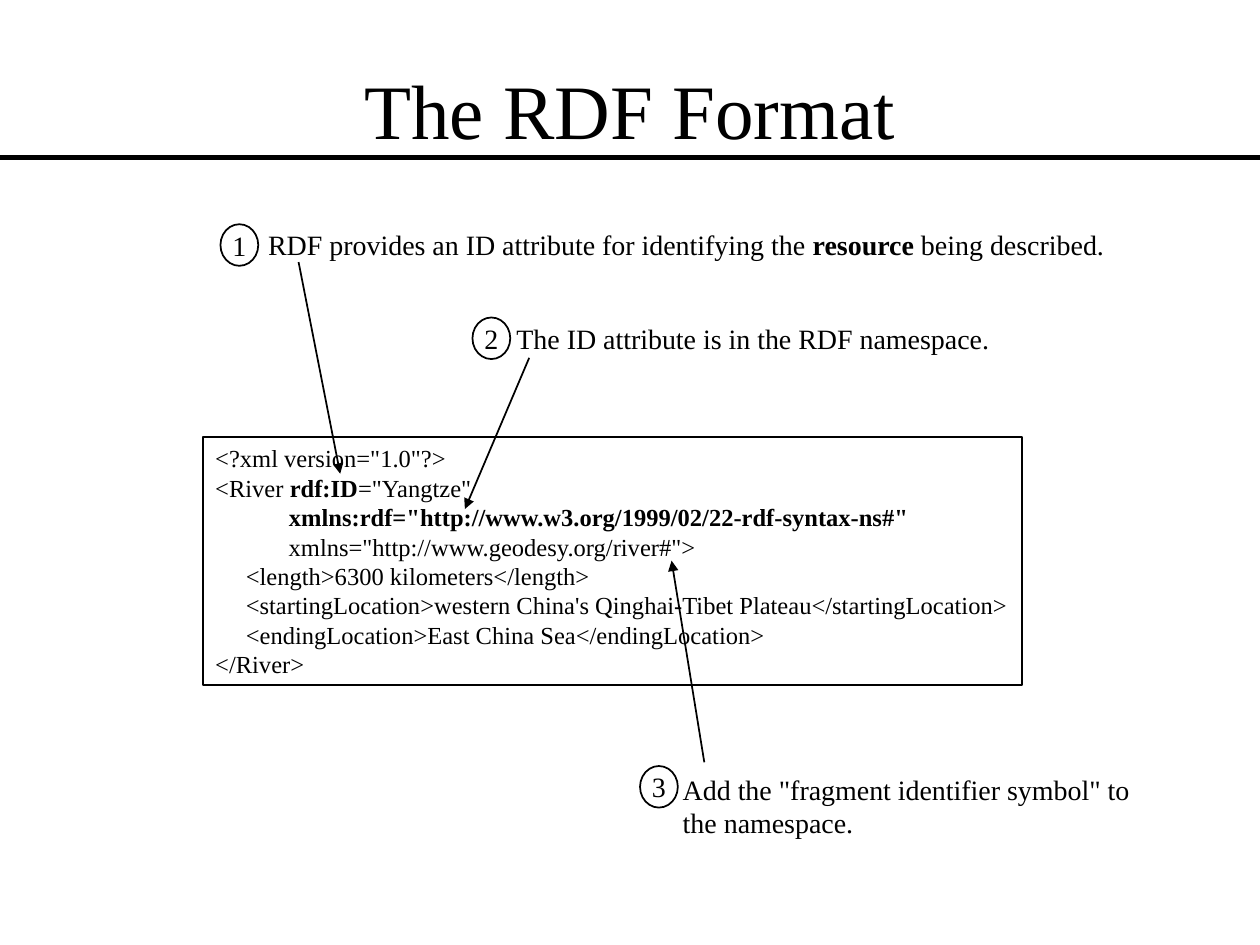
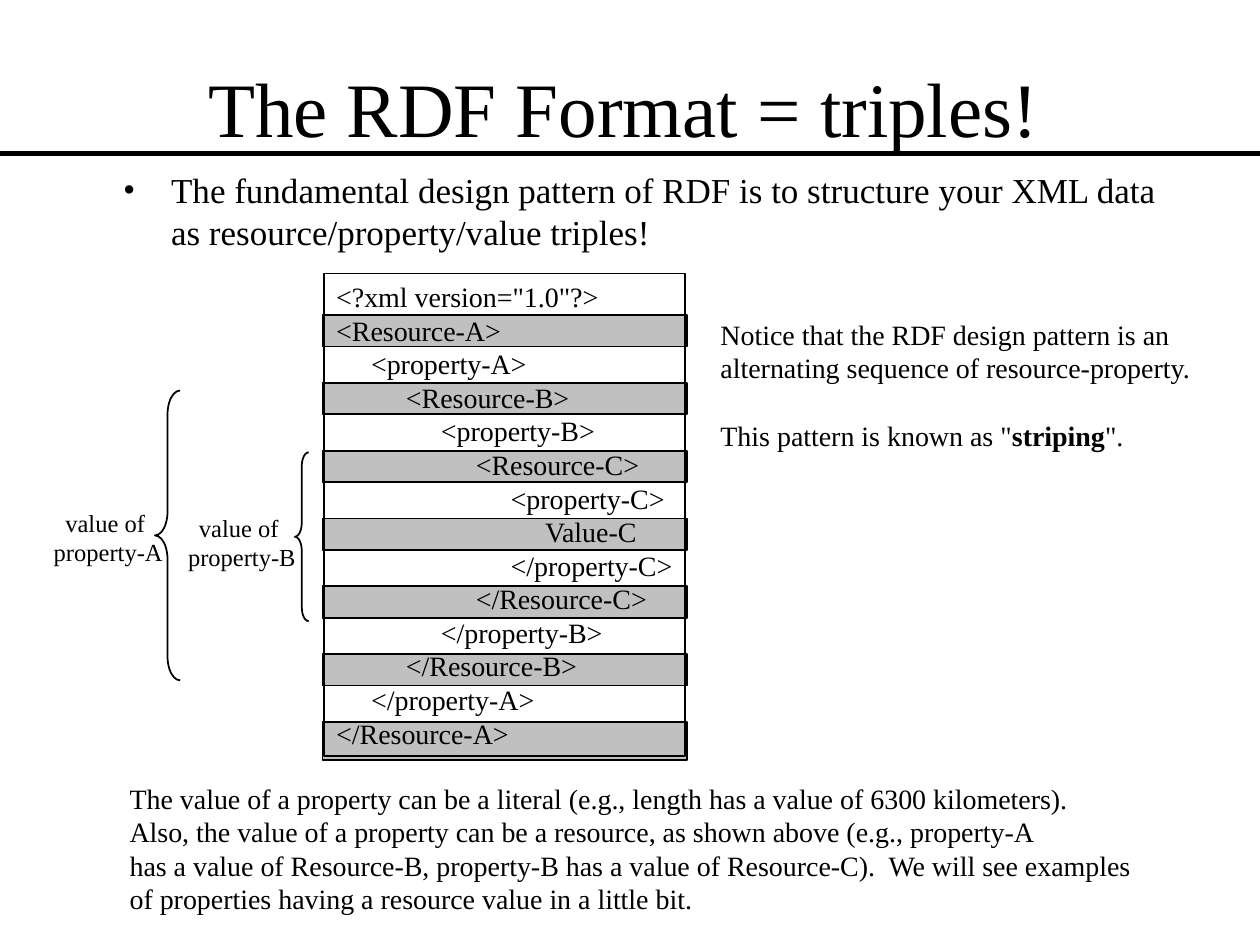
"""Build two slides that explain the RDF format and its striped triple pattern."""
from lxml import etree
from pptx import Presentation
from pptx.dml.color import RGBColor
from pptx.enum.shapes import MSO_CONNECTOR, MSO_SHAPE
from pptx.enum.text import MSO_ANCHOR, PP_ALIGN
from pptx.oxml.ns import qn
from pptx.util import Inches, Pt

BLACK = RGBColor(0, 0, 0)
WHITE = RGBColor(255, 255, 255)
STRIPE_GREY = RGBColor(192, 192, 192)
FONT = "Times New Roman"
LEFT, CENTER = PP_ALIGN.LEFT, PP_ALIGN.CENTER
TOP, MIDDLE = MSO_ANCHOR.TOP, MSO_ANCHOR.MIDDLE
RECTANGLE, OVAL, LEFT_BRACE = MSO_SHAPE.RECTANGLE, MSO_SHAPE.OVAL, MSO_SHAPE.LEFT_BRACE
STRAIGHT = MSO_CONNECTOR.STRAIGHT

COLUMNS, ROWS = 10, 7.5
SLIDE_WIDTH, SLIDE_HEIGHT = Inches(COLUMNS), Inches(ROWS)
COLUMN, ROW = SLIDE_WIDTH / COLUMNS, SLIDE_HEIGHT / ROWS


def add_text(slide, text, cells, size=16, align=LEFT, anchor=TOP, wrap=False,
             outline=None, fill=None, bullet=False, gap_before=()):
    """Place text in a box or outlined shape; ** marks bold, gap_before lists paragraphs."""
    left, top, width, height = cells
    area = [int(left * COLUMN), int(top * ROW), int(width * COLUMN), int(height * ROW)]
    if outline is None:
        shape = slide.shapes.add_textbox(*area)
    else:
        shape = slide.shapes.add_shape(outline, *area)
        shape.shadow.inherit = False
        shape.line.color.rgb = BLACK
        shape.line.width = Pt(1)
        if fill is None:
            shape.fill.background()
        else:
            shape.fill.solid()
            shape.fill.fore_color.rgb = fill
    frame = shape.text_frame
    frame.word_wrap = wrap
    frame.vertical_anchor = anchor
    for index, line in enumerate(text.split("\n")):
        paragraph = frame.paragraphs[0] if index == 0 else frame.add_paragraph()
        paragraph.alignment = align
        if bullet:
            properties = paragraph._p.get_or_add_pPr()
            properties.set("marL", str(Inches(0.38)))
            properties.set("indent", str(-Inches(0.38)))
            etree.SubElement(properties, qn("a:buFont")).set("typeface", FONT)
            etree.SubElement(properties, qn("a:buChar")).set("char", "•")
        if index in gap_before:
            paragraph.space_before = Pt(size * 1.2)
        paragraph.font.size = Pt(size)
        for part, words in enumerate(line.split("**")):
            if words:
                run = paragraph.add_run()
                run.text = words
                run.font.name = FONT
                run.font.size = Pt(size)
                run.font.color.rgb = BLACK
                run.font.bold = part % 2 == 1
    return shape


def add_line(slide, start, end, width=1, arrow=False):
    """Draw a straight black line between two grid points."""
    points = [int(value * unit) for value, unit in zip(start + end, (COLUMN, ROW) * 2)]
    connector = slide.shapes.add_connector(STRAIGHT, *points)
    connector.line.color.rgb = BLACK
    connector.line.width = Pt(width)
    if arrow:
        outline = connector.line._get_or_add_ln()
        etree.SubElement(outline, qn("a:tailEnd")).set("type", "triangle")
    etree.SubElement(connector._element.spPr, qn("a:effectLst"))


presentation = Presentation()
presentation.slide_width, presentation.slide_height = SLIDE_WIDTH, SLIDE_HEIGHT
slides = []
for title, title_left, title_top, rule_row in (
    ("The RDF Format", 0.75, 0.24, 1.25),
    ("The RDF Format = triples!", 0.7, 0.22, 1.22),
):
    slide = presentation.slides.add_slide(presentation.slide_layouts[6])
    add_text(slide, title, (title_left, title_top, 8.5, 1.25), size=44,
             align=CENTER, anchor=MIDDLE, wrap=True)
    add_line(slide, (0, rule_row), (COLUMNS, rule_row), width=3)
    slides.append(slide)
format_slide, triples_slide = slides

RIVER_XML = """<?xml version="1.0"?>
<River **rdf:ID**="Yangtze"
            **xmlns:rdf="http://www.w3.org/1999/02/22-rdf-syntax-ns#"**
            xmlns="http://www.geodesy.org/river#">
     <length>6300 kilometers</length>
     <startingLocation>western China's Qinghai-Tibet Plateau</startingLocation>
     <endingLocation>East China Sea</endingLocation>
</River>"""
add_text(format_slide, RIVER_XML, (1.61, 3.47, 6.5, 1.97), size=14, outline=RECTANGLE)

CALLOUTS = (
    ("RDF provides an ID attribute for identifying the **resource** being described.",
     (2.03, 1.76, 6.95, 0.37), (1.75, 1.78), (2.37, 2.08), (2.7, 3.76)),
    ("The ID attribute is in the RDF namespace.",
     (4, 2.5, 4.05, 0.37), (3.75, 2.52), (4.2, 2.84), (3.69, 4.04)),
    ('Add the "fragment identifier symbol" to\nthe namespace.',
     (5.32, 6.08, 3.85, 0.64), (5.08, 6.08), (5.59, 6.05), (5.33, 4.45)),
)
for number, (text, cells, badge, start, end) in enumerate(CALLOUTS, 1):
    add_line(format_slide, start, end, arrow=True)
    add_text(format_slide, text, cells)
    add_text(format_slide, str(number), badge + (0.3, 0.33), align=CENTER,
             anchor=MIDDLE, outline=OVAL, fill=WHITE)

add_text(triples_slide, "The fundamental design pattern of RDF is to structure your XML data "
         "as resource/property/value triples!", (0.88, 1.29, 8.5, 0.95),
         size=20, wrap=True, bullet=True)
add_text(triples_slide, """The value of a property can be a literal (e.g., length has a value of 6300 kilometers).
Also, the value of a property can be a resource, as shown above (e.g., property-A
has a value of Resource-B, property-B has a value of Resource-C).  We will see examples
of properties having a resource value in a little bit.""", (0.93, 6.15, 8.25, 1.17))

STRIPES = 7
FIRST_STRIPE, LAST_STRIPE = 2.5, 5.73
stripe_step = (LAST_STRIPE - FIRST_STRIPE) / (STRIPES - 1)
for stripe in reversed(range(STRIPES)):
    stripe_height = 0.3 if stripe == STRIPES - 1 else 0.25
    add_text(triples_slide, "", (2.56, FIRST_STRIPE + stripe * stripe_step, 2.89, stripe_height),
             outline=RECTANGLE, fill=STRIPE_GREY)

STRIPED_XML = """<?xml version="1.0"?>
<Resource-A>
     <property-A>
          <Resource-B>
               <property-B>
                    <Resource-C>
                         <property-C>
                              Value-C
                         </property-C>
                    </Resource-C>
               </property-B>
          </Resource-B>
     </property-A>
</Resource-A>"""
add_text(triples_slide, STRIPED_XML, (2.57, 2.17, 2.87, 3.83), outline=RECTANGLE)

for letter, label_cells, brace_cells, curve in (
    ("A", (0.26, 3.98, 1.2, 0.57), (1.23, 3.1, 0.2, 2.3), 0.95),
    ("B", (1.32, 4.02, 1.2, 0.57), (2.34, 3.59, 0.11, 1.34), 1),
):
    brace = add_text(triples_slide, "", brace_cells, outline=LEFT_BRACE)
    brace.adjustments[0] = curve
    add_text(triples_slide, f"value of \nproperty-{letter}", label_cells, size=14, align=CENTER)

add_text(triples_slide, """Notice that the RDF design pattern is an
alternating sequence of resource-property.
This pattern is known as "**striping**".""", (5.62, 2.47, 4, 1.17), gap_before=(2,))

presentation.save("out.pptx")
